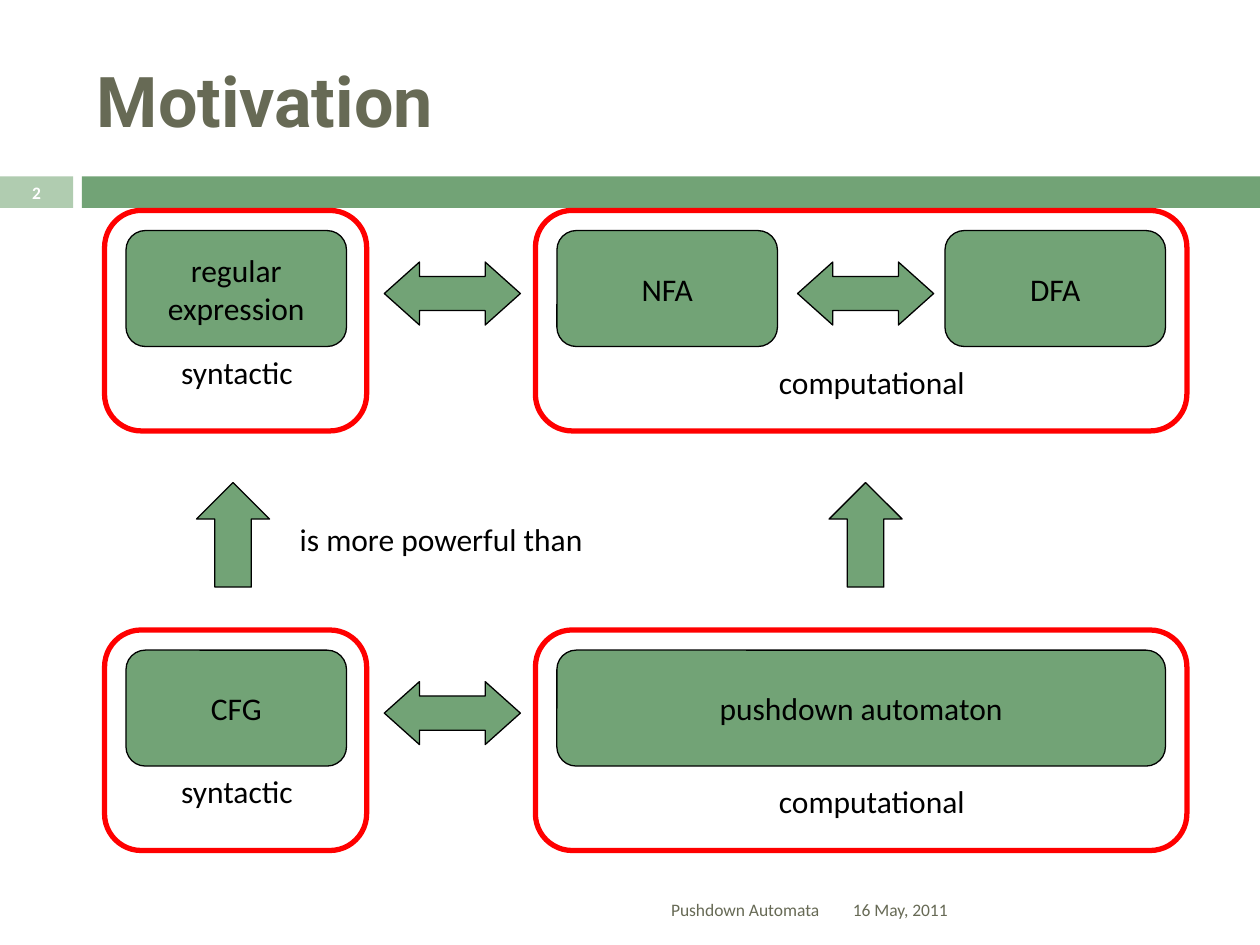
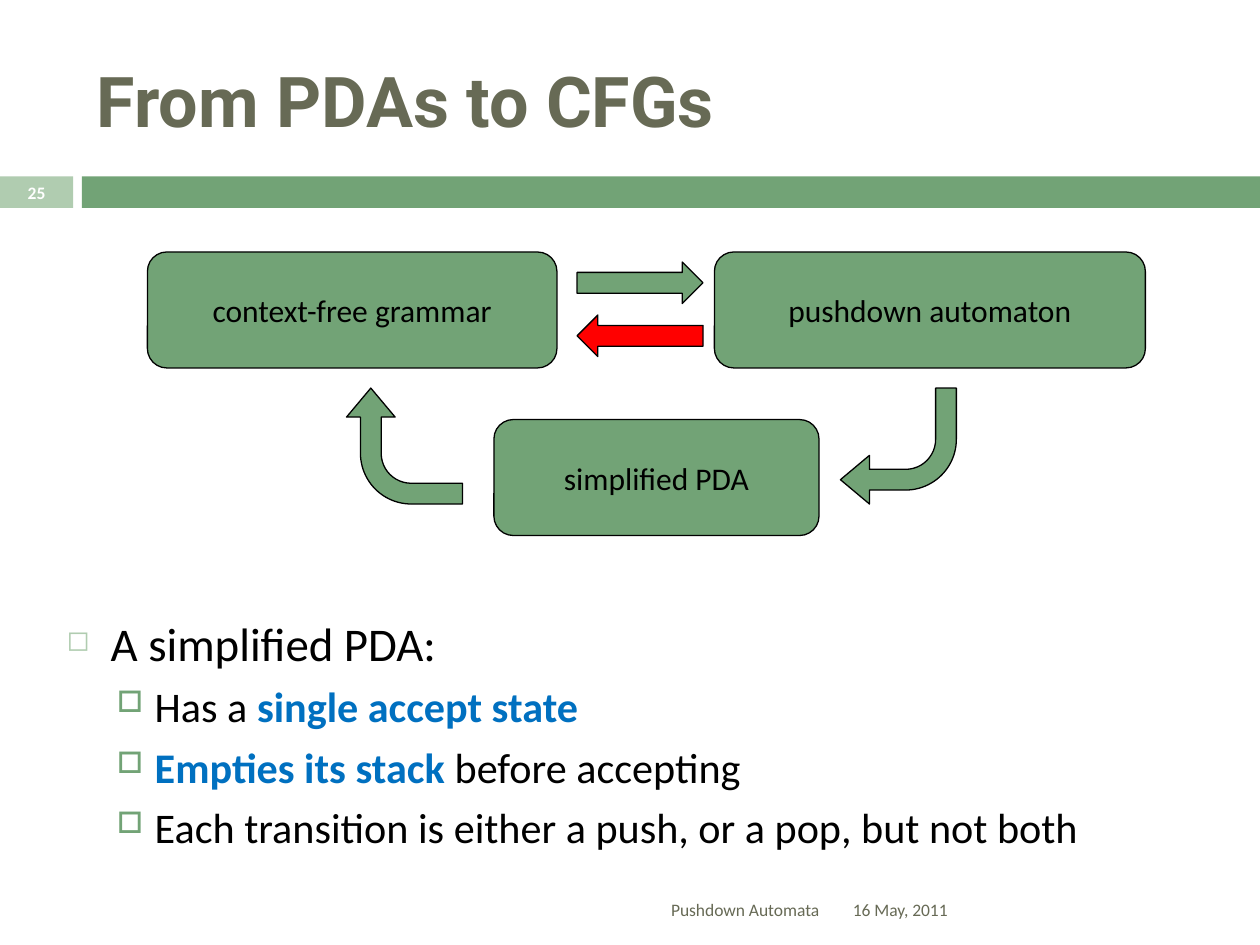
from dataclasses import dataclass
from typing import NamedTuple, Optional

import pptx
import pptx.dml.color
import pptx.enum.shapes
import pptx.enum.text
import pptx.oxml
import pptx.oxml.ns
import pptx.util
from pptx.util import Inches

SHAPE = pptx.enum.shapes.MSO_SHAPE
ALIGN = pptx.enum.text.PP_ALIGN
ANCHOR = pptx.enum.text.MSO_ANCHOR


@dataclass(frozen=True)
class Theme:
    green: str = "72A376"
    pale: str = "B0CCB0"
    olive: str = "676A55"
    red: str = "FF0000"
    blue: str = "0070C0"
    black: str = "000000"
    white: str = "FFFFFF"
    title_font: str = "Roboto"
    font: str = "Calibri"
    title: float = 40
    label: float = 18
    small: float = 10
    thin: float = 0.75
    thick: float = 3


T = Theme()


class Box(NamedTuple):
    x: float
    y: float
    w: float
    h: float

    def emu(self) -> tuple:
        return tuple(Inches(v) for v in self)


class Run(NamedTuple):
    text: str
    strong: bool = False


class Level(NamedTuple):
    size: float
    indent: float
    hang: float
    before: float
    bullet: str
    bullet_color: str
    bullet_pct: int


class Bullet(NamedTuple):
    level: Level
    runs: list[Run]


class Node(NamedTuple):
    text: str
    x: float
    w: float


class Row(NamedTuple):
    """A syntactic frame beside a computational one; y is the frame top."""
    y: float
    nodes: list[Node]
    arrows: list[float]


class Arrow(NamedTuple):
    kind: int
    box: Box
    adj: tuple = (0.5, 0.5)
    turn: float = 0
    color: str = T.green


TOP = Level(26.8, 0.35, 0.35, 0, "◻", T.pale, 60)
SUB = Level(24.1, 0.7, 0.3, 5.5, "□", T.green, 70)
NODE_H = 0.92
DOUBLE_ADJ = (0.542, 0.559)
BENT_ADJ = (0.179, 0.21, 0.25, 0.438)

ROWS = [
    Row(1.67, [Node("regular\nexpression", 1, 1.75), Node("NFA", 4.42, 1.75),
               Node("DFA", 7.5, 1.75)], [3.05, 6.33]),
    Row(5, [Node("CFG", 1, 1.75), Node("pushdown automaton", 4.42, 4.83)], [3.05]),
]
CONVERSIONS = [
    Arrow(SHAPE.RIGHT_ARROW, Box(4.58, 2.08, 1, 0.33)),
    Arrow(SHAPE.RIGHT_ARROW, Box(4.58, 2.5, 1, 0.33), turn=180, color=T.red),
    Arrow(SHAPE.BENT_ARROW, Box(6.67, 3.08, 0.92, 0.92), BENT_ADJ, 180),
    Arrow(SHAPE.BENT_ARROW, Box(2.75, 3.08, 0.92, 0.92), BENT_ADJ, 270),
]
SIMPLIFIED = [
    Bullet(TOP, [Run("A simplified PDA:")]),
    Bullet(SUB, [Run("Has a "), Run("single accept state", True)]),
    Bullet(SUB, [Run("Empties its stack ", True), Run("before accepting")]),
    Bullet(SUB, [Run("Each transition is either a push, or a pop, but not both")]),
]


def rgb(color: str) -> pptx.dml.color.RGBColor:
    return pptx.dml.color.RGBColor.from_string(color)


def add_run(p, text: str, size: float, color: str = T.black,
            bold: bool = False, font: str = T.font) -> None:
    r = p.add_run()
    r.text = text
    r.font.name, r.font.size, r.font.bold = font, pptx.util.Pt(size), bold
    r.font.color.rgb = rgb(color)


def add_shape(s, kind: int, box: Box, fill: Optional[str] = T.green,
              line: Optional[str] = T.black, width: float = T.thin):
    sp = s.shapes.add_shape(kind, *box.emu())
    sp.shadow.inherit = False
    if fill:
        sp.fill.solid()
        sp.fill.fore_color.rgb = rgb(fill)
    else:
        sp.fill.background()
    if line:
        sp.line.color.rgb = rgb(line)
        sp.line.width = pptx.util.Pt(width)
    else:
        sp.line.fill.background()
    return sp


def add_text(s, box: Box, text: str, size: float = T.label, color: str = T.black,
             align: int = ALIGN.LEFT, anchor: int = ANCHOR.MIDDLE,
             bold: bool = False, font: str = T.font) -> None:
    tf = s.shapes.add_textbox(*box.emu()).text_frame
    tf.word_wrap = True
    tf.vertical_anchor = anchor
    p = tf.paragraphs[0]
    p.alignment = align
    add_run(p, text, size, color, bold, font)


def add_node(s, node: Node, y: float) -> None:
    tf = add_shape(s, SHAPE.ROUNDED_RECTANGLE, Box(node.x, y, node.w, NODE_H)).text_frame
    tf.word_wrap = False
    tf.vertical_anchor = ANCHOR.MIDDLE
    p = tf.paragraphs[0]
    p.alignment = ALIGN.CENTER
    for i, line in enumerate(node.text.split("\n")):
        if i:
            p.add_line_break()
        add_run(p, line, T.label)


def add_arrow(s, arrow: Arrow) -> None:
    sp = add_shape(s, arrow.kind, arrow.box, arrow.color)
    for i, value in enumerate(arrow.adj):
        sp.adjustments[i] = value
    sp.rotation = arrow.turn


def add_row(s, row: Row) -> None:
    for node in row.nodes:
        add_node(s, node, row.y + 0.16)
    for x in row.arrows:
        add_arrow(s, Arrow(SHAPE.LEFT_RIGHT_ARROW, Box(x, row.y + 0.41, 1.08, 0.5), DOUBLE_ADJ))
    for text, x, dy, w in (("syntactic", 0.92, 1.08, 1.92), ("computational", 5.67, 1.16, 2.5)):
        add_text(s, Box(x, row.y + dy, w, 0.4), text, align=ALIGN.CENTER, anchor=ANCHOR.TOP)
    for x, w in ((0.83, 2.08), (4.25, 5.17)):
        add_shape(s, SHAPE.ROUNDED_RECTANGLE, Box(x, row.y, w, 1.75), None, T.red, T.thick)


def set_bullet(p, level: Level) -> None:
    pPr = p._p.get_or_add_pPr()
    pPr.set("marL", str(Inches(level.indent)))
    pPr.set("indent", str(-Inches(level.hang)))
    ns = pptx.oxml.ns.nsdecls("a")
    for xml in (f'<a:buClr {ns}><a:srgbClr val="{level.bullet_color}"/></a:buClr>',
                f'<a:buSzPct {ns} val="{level.bullet_pct * 1000}"/>',
                f'<a:buChar {ns} char="{level.bullet}"/>'):
        pPr.append(pptx.oxml.parse_xml(xml))


def add_bullets(s, box: Box, bullets: list[Bullet]) -> None:
    tf = s.shapes.add_textbox(*box.emu()).text_frame
    tf.word_wrap = True
    for i, bullet in enumerate(bullets):
        p = tf.add_paragraph() if i else tf.paragraphs[0]
        set_bullet(p, bullet.level)
        if i:
            p.space_before = pptx.util.Pt(bullet.level.before)
        for run in bullet.runs:
            add_run(p, run.text, bullet.level.size, T.blue if run.strong else T.black, run.strong)


def add_slide(prs, title: str, number: int):
    """Add a blank slide with the shared title, bands and footers."""
    s = prs.slides.add_slide(prs.slide_layouts[6])
    add_shape(s, SHAPE.RECTANGLE, Box(0, 1.4, 0.58, 0.25), T.pale, None)
    add_shape(s, SHAPE.RECTANGLE, Box(0.65, 1.4, 9.35, 0.25), T.green, None)
    add_text(s, Box(0.67, 0.25, 8.92, 1.08), title, T.title, T.olive,
             bold=True, font=T.title_font)
    add_text(s, Box(0, 1.39, 0.58, 0.27), str(number), T.small, T.white,
             ALIGN.CENTER, bold=True)
    add_text(s, Box(0.67, 7.02, 5.93, 0.4), "Pushdown Automata", T.small, T.olive, ALIGN.RIGHT)
    add_text(s, Box(6.67, 7.02, 2.92, 0.4), "16 May, 2011", T.small, T.olive)
    return s


def build_motivation(prs) -> None:
    s = add_slide(prs, "Motivation", 2)
    for row in ROWS:
        add_row(s, row)
    for x in (1.56, 6.58):
        add_arrow(s, Arrow(SHAPE.UP_ARROW, Box(x, 3.83, 0.58, 0.83)))
    add_text(s, Box(2.28, 4.08, 3.22, 0.51), "is more powerful than", anchor=ANCHOR.TOP)


def build_conversion(prs) -> None:
    s = add_slide(prs, "From PDAs to CFGs", 25)
    add_bullets(s, Box(0.43, 4.83, 9.14, 2.08), SIMPLIFIED)
    add_node(s, Node("context-free grammar", 1.17, 3.25), 2)
    add_node(s, Node("pushdown automaton", 5.67, 3.42), 2)
    add_node(s, Node("simplified PDA", 3.92, 2.58), 3.33)
    for arrow in CONVERSIONS:
        add_arrow(s, arrow)


def main() -> None:
    prs = pptx.Presentation()
    prs.slide_width, prs.slide_height = Inches(10), Inches(7.5)
    build_motivation(prs)
    build_conversion(prs)
    prs.save("out.pptx")


if __name__ == "__main__":
    main()
